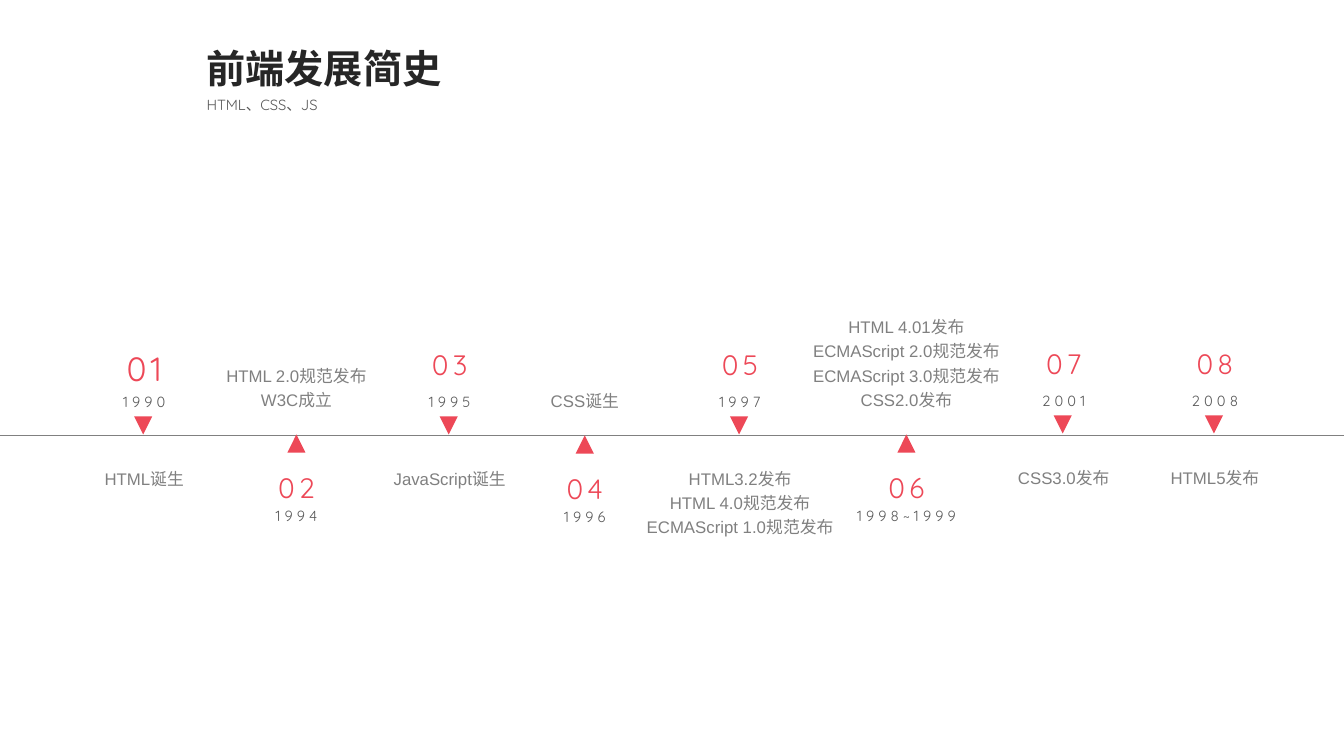
from pptx import Presentation
from pptx.dml.color import RGBColor
from pptx.enum.shapes import MSO_CONNECTOR, MSO_SHAPE
from pptx.enum.text import MSO_AUTO_SIZE, PP_ALIGN
from pptx.oxml.ns import qn
from pptx.util import Inches, Pt
from lxml.etree import SubElement

SLIDE_WIDTH, SLIDE_HEIGHT, CELL = 13.33, 7.5, 0.1
AXIS_ROW = 43.2
MARKER_SIZE = 1.8
LINE_ROWS, PADDING_ROWS = 2.4, 1

EVENTS = [
    (14.2, 0, True, "01", "1990", ["HTML诞生"]),
    (29.4, 0, False, "02", "1994", ["HTML 2.0规范发布", "W3C成立"]),
    (44.5, 0, True, "03", "1995", ["JavaScript诞生"]),
    (58, 0.1, False, "04", "1996", ["CSS诞生"]),
    (73.3, 0, True, "05", "1997",
     ["HTML3.2发布", "HTML 4.0规范发布", "ECMAScript 1.0规范发布"]),
    (89.9, 0, False, "06", "1998~1999",
     ["HTML 4.01发布", "ECMAScript 2.0规范发布",
      "ECMAScript 3.0规范发布", "CSS2.0发布"]),
    (105.4, -0.1, True, "07", "2001", ["CSS3.0发布"]),
    (120.4, -0.1, True, "08", "2008", ["HTML5发布"]),
]


def color(value):
    return RGBColor.from_string(value)


def cells(*counts):
    return [Inches(count * CELL) for count in counts]


class TimelineSlide:
    accent, dark, text_gray, line_gray = "ED4857", "262626", "595959", "808080"
    latin, display = "Arial", "Quicksand"

    def __init__(self, presentation):
        self.slide = presentation.slides.add_slide(presentation.slide_layouts[6])

    def text(self, lines, column, row, columns, rows, *, size, font, fill,
             bold=False, align=PP_ALIGN.LEFT, wrap=False, tracking=0, leading=None):
        shape = self.slide.shapes.add_textbox(*cells(column, row, columns, rows))
        frame = shape.text_frame
        frame.word_wrap = wrap
        frame.auto_size = MSO_AUTO_SIZE.SHAPE_TO_FIT_TEXT
        for index, line in enumerate(lines):
            paragraph = frame.add_paragraph() if index else frame.paragraphs[0]
            paragraph.alignment = align
            paragraph.line_spacing = leading
            run = paragraph.add_run()
            run.text = line
            run.font.name, run.font.size, run.font.bold = font, Pt(size), bold
            run.font.color.rgb = color(fill)
            if tracking:
                run._r.get_or_add_rPr().set("spc", str(tracking * 100))

    def axis(self):
        left, right, level = cells(0, SLIDE_WIDTH / CELL, AXIS_ROW)
        connector = self.slide.shapes.add_connector(
            MSO_CONNECTOR.STRAIGHT, left, level, right, level)
        connector.line.color.rgb = color(self.line_gray)
        connector.line.width = Pt(0.5)
        SubElement(connector._element.spPr, qn("a:effectLst"))

    def marker(self, center, row, pointing_down):
        shape = self.slide.shapes.add_shape(
            MSO_SHAPE.ISOSCELES_TRIANGLE,
            *cells(center - MARKER_SIZE / 2, row, MARKER_SIZE, MARKER_SIZE))
        shape.rotation = 180 if pointing_down else 0
        shape.shadow.inherit = False
        shape.fill.solid()
        shape.fill.fore_color.rgb = color(self.accent)
        shape.line.fill.background()

    def centered(self, lines, center, row, columns, rows, **style):
        self.text(lines, center - columns / 2, row, columns, rows,
                  align=PP_ALIGN.CENTER, **style)

    def event(self, center, shift, above, number, year, details):
        number_row, year_row = (34, 38.5) if above else (46.2, 49.8)
        detail_rows = PADDING_ROWS + LINE_ROWS * len(details)
        detail_row = 45.6 if above else 41.15 - detail_rows
        marker_row = 41.3 if above else 43.1
        label_center = center + 0.1 if above else center
        first = number == EVENTS[0][3]
        self.marker(center, marker_row + shift, above)
        self.centered([number], label_center, number_row + shift,
                      6.5 if first else 5.9, 5 if first else 4.4,
                      size=24 if first else 20, font=self.display,
                      fill=self.accent, tracking=3)
        self.centered([year], label_center, year_row + shift,
                      6.9 if len(year) == 4 else 13.1, 2.8,
                      size=10.5, font=self.display, fill=self.text_gray, tracking=3)
        self.centered(details, label_center, detail_row + shift, 24.2, detail_rows,
                      size=12, font=self.latin, fill=self.line_gray,
                      wrap=True, leading=1.2)

    def heading(self, title, subtitle):
        self.text([title], 19.5, 3.9, 25.4, 5.7, size=28, font=self.latin,
                  fill=self.dark, bold=True)
        self.text([subtitle], 19.5, 9, 41.2, 2.8, size=10.5, font=self.display,
                  fill=self.text_gray, wrap=True)


def main():
    presentation = Presentation()
    presentation.slide_width = Inches(SLIDE_WIDTH)
    presentation.slide_height = Inches(SLIDE_HEIGHT)
    timeline = TimelineSlide(presentation)
    timeline.heading("前端发展简史", "HTML、CSS、JS")
    timeline.axis()
    for event in EVENTS:
        timeline.event(*event)
    presentation.save("out.pptx")


if __name__ == "__main__":
    main()
